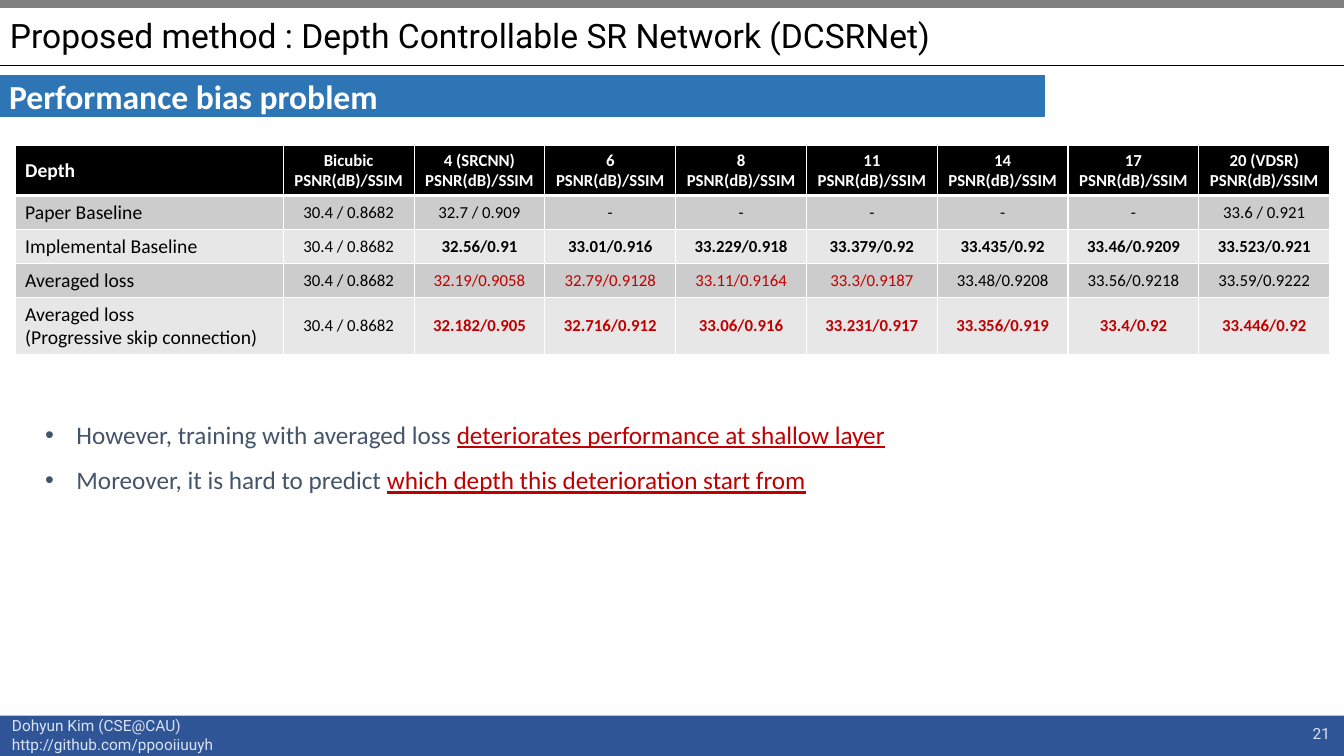
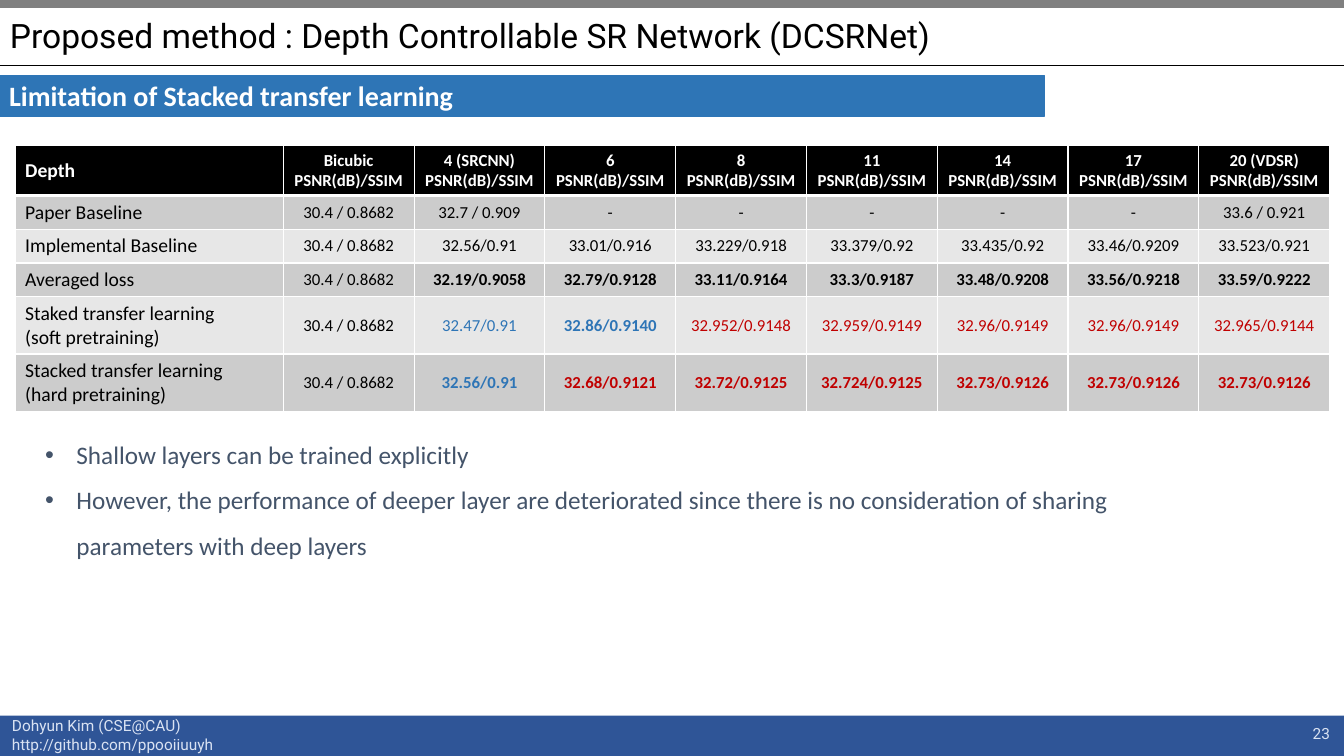
from dataclasses import dataclass

from pptx import Presentation
from pptx.dml.color import RGBColor
from pptx.enum.shapes import MSO_CONNECTOR, MSO_SHAPE
from pptx.enum.text import MSO_ANCHOR, PP_ALIGN
from pptx.oxml import parse_xml
from pptx.oxml.ns import nsdecls
from pptx.shapes.autoshape import Shape
from pptx.slide import Slide
from pptx.text.text import TextFrame
from pptx.util import Inches, Pt

HUES = {
    "white": "FFFFFF", "black": "000000", "gray": "808080", "navy": "2F5597",
    "blue": "2E75B6", "pale": "DAE3F3", "slate": "44546A", "red": "C00000",
    "dark": "CCCCCC", "light": "E7E7E7",
}
TITLE = "Proposed method : Depth Controllable SR Network (DCSRNet)"
CREDIT = ["Dohyun Kim (CSE@CAU)", "http://github.com/ppooiiuuyh"]
DEPTHS = ["Bicubic", "4 (SRCNN)", "6", "8", "11", "14", "17", "20 (VDSR)"]
UNIT = "PSNR(dB)/SSIM"
BICUBIC = "30.4 / 0.8682"
HEAD, TALL = 0.49, 0.57
STYLES = {
    "k": ("black", False), "K": ("black", True),
    "r": ("red", False), "R": ("red", True),
    "b": ("blue", False), "B": ("blue", True),
}


@dataclass(frozen=True)
class Box:
    left: float
    top: float
    width: float
    height: float

    def size(self) -> tuple[Inches, ...]:
        return tuple(Inches(n) for n in (self.left, self.top, self.width, self.height))


@dataclass(frozen=True)
class Bit:
    text: str
    size: float
    hue: str
    font: str = "Calibri"
    bold: bool = False
    under: bool = False


@dataclass(frozen=True)
class Row:
    label: list[str]
    marks: str
    data: list[str]


@dataclass(frozen=True)
class Page:
    number: str
    band: Bit
    rows: list[Row]
    depth: float
    notes: Box
    points: list[list[Bit]]


def tint(name: str) -> RGBColor:
    return RGBColor.from_string(HUES[name])


def write(frame: TextFrame, lines: list[list[Bit]], align: PP_ALIGN = PP_ALIGN.LEFT,
          space: float = 1.0, bullet: bool = False) -> None:
    frame.word_wrap = True
    for at, line in enumerate(lines):
        para = frame.paragraphs[0] if at == 0 else frame.add_paragraph()
        para.alignment = align
        para.line_spacing = space
        if bullet:
            props = para._p.get_or_add_pPr()
            props.set("marL", str(Inches(0.31)))
            props.set("indent", str(Inches(-0.31)))
            props.append(parse_xml(f'<a:buFont {nsdecls("a")} typeface="Arial"/>'))
            props.append(parse_xml(f'<a:buChar {nsdecls("a")} char="•"/>'))
        for bit in line:
            run = para.add_run()
            run.text = bit.text
            font = run.font
            font.name, font.size = bit.font, Pt(bit.size)
            font.bold, font.underline = bit.bold, bit.under
            font.color.rgb = tint(bit.hue)


def add_text(slide: Slide, box: Box, lines: list[list[Bit]], align: PP_ALIGN = PP_ALIGN.LEFT,
             space: float = 1.0, bullet: bool = False,
             anchor: MSO_ANCHOR = MSO_ANCHOR.MIDDLE) -> None:
    frame = slide.shapes.add_textbox(*box.size()).text_frame
    frame.vertical_anchor = anchor
    write(frame, lines, align, space, bullet)


def add_bar(slide: Slide, box: Box, hue: str, edge: bool = True) -> Shape:
    bar = slide.shapes.add_shape(MSO_SHAPE.RECTANGLE, *box.size())
    bar.shadow.inherit = False
    bar.fill.solid()
    bar.fill.fore_color.rgb = tint(hue)
    if edge:
        bar.line.color.rgb = tint(hue)
        bar.line.width = Pt(1)
    else:
        bar.line.fill.background()
    return bar


def add_frame(slide: Slide, page: Page) -> None:
    add_bar(slide, Box(0, 7.1, 13.33, 0.4), "navy", edge=False)
    add_bar(slide, Box(0, 0, 13.33, 0.07), "gray")
    rule = slide.shapes.add_connector(
        MSO_CONNECTOR.STRAIGHT, Inches(0), Inches(0.65), Inches(13.33), Inches(0.65))
    rule.line.color.rgb = tint("black")
    rule.line.width = Pt(0.5)
    rule._element.spPr.append(parse_xml(f'<a:effectLst {nsdecls("a")}/>'))
    add_text(slide, Box(0.02, 7.06, 2.5, 0.47),
             [[Bit(text, 11, "pale", "Roboto")] for text in CREDIT], anchor=MSO_ANCHOR.TOP)
    add_text(slide, Box(10.29, 7.08, 3, 0.4),
             [[Bit(page.number, 11, "pale", "Roboto")]], PP_ALIGN.RIGHT)
    band = add_bar(slide, Box(0, 0.75, 10.36, 0.4), "blue").text_frame
    band.margin_left = band.margin_right = Inches(0.09)
    band.margin_top = band.margin_bottom = Inches(0.04)
    band.vertical_anchor = MSO_ANCHOR.MIDDLE
    write(band, [[page.band]])
    add_text(slide, Box(0, 0.09, 11.67, 0.57),
             [[Bit(TITLE, 24, "black", "Roboto")]], space=0.9)


def add_grid(slide: Slide, rows: list[Row], depth: float) -> None:
    count = len(DEPTHS) + 1
    box = Box(0.15, 1.44, 13.04, depth)
    table = slide.shapes.add_table(len(rows) + 1, count, *box.size()).table
    for at, col in enumerate(table.columns):
        col.width = Inches(2.66 if at == 0 else (box.width - 2.66) / len(DEPTHS))
    twos = sum(len(row.label) > 1 for row in rows)
    short = (depth - HEAD - TALL * twos) / (len(rows) - twos)
    table.rows[0].height = Inches(HEAD)

    def fill(row: int, col: int, lines: list[str], hue: str, bold: bool, back: str) -> None:
        cell = table.cell(row, col)
        cell.vertical_anchor = MSO_ANCHOR.MIDDLE
        props = cell._tc.get_or_add_tcPr()
        wide = {"T": 3 if row == 1 else 1, "B": 3 if row == 0 else 1}
        for side in "LRTB":
            props.append(parse_xml(
                f'<a:ln{side} {nsdecls("a")} w="{Pt(wide.get(side, 1))}"><a:solidFill>'
                f'<a:srgbClr val="{HUES["white"]}"/></a:solidFill></a:ln{side}>'))
        cell.fill.solid()
        cell.fill.fore_color.rgb = tint(back)
        size, align = (12, PP_ALIGN.CENTER) if col else (14, PP_ALIGN.LEFT)
        write(cell.text_frame, [[Bit(text, size, hue, bold=bold)] for text in lines], align)

    heads = [["Depth"]] + [[name, UNIT] for name in DEPTHS]
    for col, lines in enumerate(heads):
        fill(0, col, lines, "white", True, "black")
    for at, row in enumerate(rows, 1):
        table.rows[at].height = Inches(TALL if len(row.label) > 1 else short)
        back = "dark" if at % 2 else "light"
        cells = [row.label, [BICUBIC]] + [[text] for text in row.data]
        for col, (lines, mark) in enumerate(zip(cells, "kk" + row.marks)):
            fill(at, col, lines, *STYLES[mark], back)


def base_rows(own: str, mean: str) -> list[Row]:
    return [
        Row(["Paper Baseline"], "k" * 7, ["32.7 / 0.909"] + ["-"] * 5 + ["33.6 / 0.921"]),
        Row(["Implemental Baseline"], own,
            ["32.56/0.91", "33.01/0.916", "33.229/0.918", "33.379/0.92",
             "33.435/0.92", "33.46/0.9209", "33.523/0.921"]),
        Row(["Averaged loss"], mean,
            ["32.19/0.9058", "32.79/0.9128", "33.11/0.9164", "33.3/0.9187",
             "33.48/0.9208", "33.56/0.9218", "33.59/0.9222"]),
    ]


def plain(text: str) -> Bit:
    return Bit(text, 18, "slate")


def stress(text: str) -> Bit:
    return Bit(text, 18, "red", under=True)


PAGES = [
    Page(
        "21", Bit("Performance bias problem", 24, "white", bold=True),
        base_rows("K" * 7, "rrrrkkk") + [
            Row(["Averaged loss", "(Progressive skip connection)"], "R" * 7,
                ["32.182/0.905", "32.716/0.912", "33.06/0.916", "33.231/0.917",
                 "33.356/0.919", "33.4/0.92", "33.446/0.92"]),
        ],
        2.07, Box(0.35, 3.96, 11.92, 0.96),
        [
            [plain("However, training with averaged loss "),
             stress("deteriorates performance at shallow layer")],
            [plain("Moreover, it is hard to predict "),
             stress("which depth this deterioration start from")],
        ],
    ),
    Page(
        "23", Bit("Limitation of Stacked transfer learning", 20, "white", bold=True),
        base_rows("k" * 7, "K" * 7) + [
            Row(["Staked transfer learning", "(soft pretraining)"], "bBrrrrr",
                ["32.47/0.91", "32.86/0.9140", "32.952/0.9148", "32.959/0.9149",
                 "32.96/0.9149", "32.96/0.9149", "32.965/0.9144"]),
            Row(["Stacked transfer learning", "(hard pretraining)"], "BRRRRRR",
                ["32.56/0.91", "32.68/0.9121", "32.72/0.9125", "32.724/0.9125",
                 "32.73/0.9126", "32.73/0.9126", "32.73/0.9126"]),
        ],
        2.63, Box(0.35, 4.16, 11.92, 1.42),
        [
            [plain("Shallow layers can be trained explicitly")],
            [plain("However, the performance of deeper layer are deteriorated since there is "
                   "no consideration of sharing parameters with deep layers")],
        ],
    ),
]


def main() -> None:
    deck = Presentation()
    deck.slide_width, deck.slide_height = Inches(13.33), Inches(7.5)
    for page in PAGES:
        slide = deck.slides.add_slide(deck.slide_layouts[6])
        add_frame(slide, page)
        add_grid(slide, page.rows, page.depth)
        add_text(slide, page.notes, page.points, space=1.5, bullet=True,
                 anchor=MSO_ANCHOR.TOP)
    deck.save("out.pptx")


if __name__ == "__main__":
    main()
